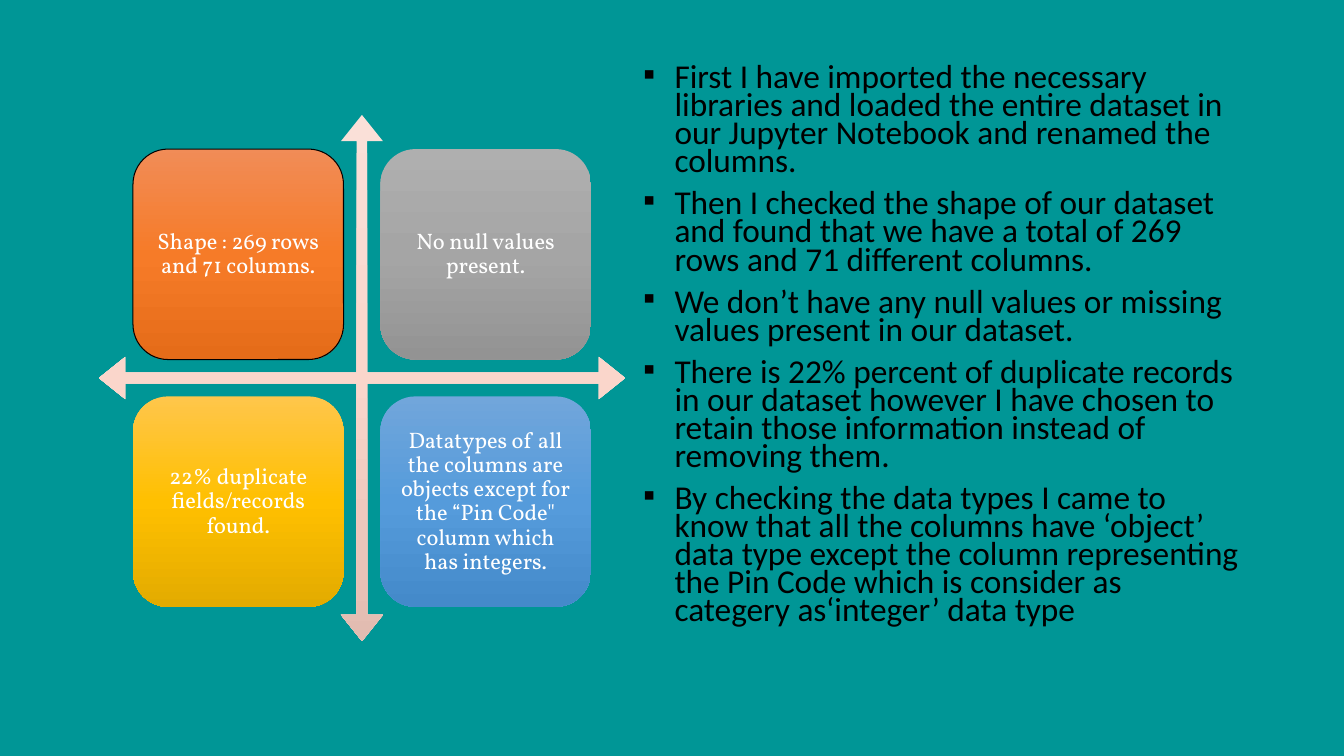
import copy

import pptx
import pptx.dml.color
import pptx.enum.shapes
import pptx.enum.text
import pptx.util
from lxml import etree
from pptx.oxml.ns import qn


def color(hex_string):
    return pptx.dml.color.RGBColor.from_string(hex_string)


def fill_gradient(shape, hex_strings):
    shape.shadow.inherit = False
    shape.line.fill.background()
    shape.fill.gradient()
    shape.fill.gradient_angle = 270
    stop_list = shape.element.spPr.find(qn("a:gradFill")).find(qn("a:gsLst"))
    stop_list.insert(1, copy.deepcopy(stop_list[0]))
    for stop, position, hex_string in zip(shape.fill.gradient_stops, (0, 0.5, 1), hex_strings):
        stop.position = position
        stop.color.rgb = color(hex_string)


deck = pptx.Presentation()
deck.slide_width = pptx.util.Inches(13.33)
deck.slide_height = pptx.util.Inches(7.5)
slide = deck.slides.add_slide(deck.slide_layouts.get_by_name("Title and Content"))
slide.background.fill.solid()
slide.background.fill.fore_color.rgb = color("009696")
empty_title = slide.shapes.title.element
empty_title.getparent().remove(empty_title)

steps = [
    "First I have imported the necessary libraries and loaded the entire dataset in our Jupyter Notebook and renamed the columns.",
    "Then I checked the shape of our dataset and found that we have a total of 269 rows and 71 different columns.",
    "We don’t have any null values or missing values present in our dataset.",
    "There is 22% percent of duplicate records in our dataset however I have chosen to retain those information instead of removing them.",
    "By checking the data types I came to know that all the columns have ‘object’ data type except the column representing the Pin Code which is consider as categery as‘integer’ data type",
]
explanation = slide.placeholders[1]
explanation.left, explanation.top = pptx.util.Inches(6.28), pptx.util.Inches(0.61)
explanation.width = explanation.height = pptx.util.Inches(6.14)
explanation.text_frame.auto_size = pptx.enum.text.MSO_AUTO_SIZE.NONE
explanation.text_frame.vertical_anchor = pptx.enum.text.MSO_ANCHOR.TOP
explanation.text_frame.text = "\n".join(steps)
for number, step in enumerate(explanation.text_frame.paragraphs):
    indent = pptx.util.Inches(0.31)
    properties = step._p.get_or_add_pPr()
    properties.set("marL", str(indent))
    properties.set("indent", str(-indent))
    etree.SubElement(properties, qn("a:buFont"), typeface="Calibri")
    etree.SubElement(properties, qn("a:buChar"), char="▪")
    step.line_spacing = 0.7
    step.space_before = pptx.util.Pt(10 if number else 0)
    step.font.size = pptx.util.Pt(23.8)
    step.font.name = "Calibri"
    step.font.color.rgb = color("000000")

matrix_left, matrix_top, matrix_side = (pptx.util.Inches(n) for n in (0.98, 1.14, 5.22))
axes = slide.shapes.add_shape(
    pptx.enum.shapes.MSO_SHAPE.QUAD_ARROW, matrix_left, matrix_top, matrix_side, matrix_side
)
for index, share in enumerate((0.02, 0.04, 0.05)):
    axes.adjustments[index] = share
fill_gradient(axes, ("FAE0D8", "FAD6CB", "E2BCB1"))

findings = [
    ("Shape : 269 rows and 71 columns.", ("F18C57", "F67B28", "E56C19")),
    ("No null values present.", ("AFAFAF", "A5A5A5", "939393")),
    ("22% duplicate fields/records found.", ("FFC64B", "FFC000", "E3AB00")),
    (
        "Datatypes of all the columns are objects except for the “Pin Code\" column which has integers.",
        ("71A6DB", "559BDB", "448ACA"),
    ),
]
tile_side = int(matrix_side * 0.4)
tile_margin = int(matrix_side * 0.065)
tile_pitch = int(matrix_side * 0.47)
for index, (finding, shades) in enumerate(findings):
    row, column = divmod(index, 2)
    tile = slide.shapes.add_shape(
        pptx.enum.shapes.MSO_SHAPE.ROUNDED_RECTANGLE,
        matrix_left + tile_margin + column * tile_pitch,
        matrix_top + tile_margin + row * tile_pitch,
        tile_side,
        tile_side,
    )
    fill_gradient(tile, shades)
    if index == 0:
        tile.line.color.rgb = color("000000")
        tile.line.width = pptx.util.Pt(0.75)
    label = tile.text_frame
    label.word_wrap = True
    label.vertical_anchor = pptx.enum.text.MSO_ANCHOR.MIDDLE
    label.margin_left = label.margin_right = pptx.util.Inches(0.07)
    label.margin_top = label.margin_bottom = pptx.util.Inches(0.07)
    label.text = finding
    paragraph = label.paragraphs[0]
    paragraph.alignment = pptx.enum.text.PP_ALIGN.CENTER
    paragraph.line_spacing = 0.9
    paragraph.font.size = pptx.util.Pt(16)
    paragraph.font.name = "Vollkorn"
    paragraph.font.color.rgb = color("FFFFFF")

deck.save("out.pptx")
